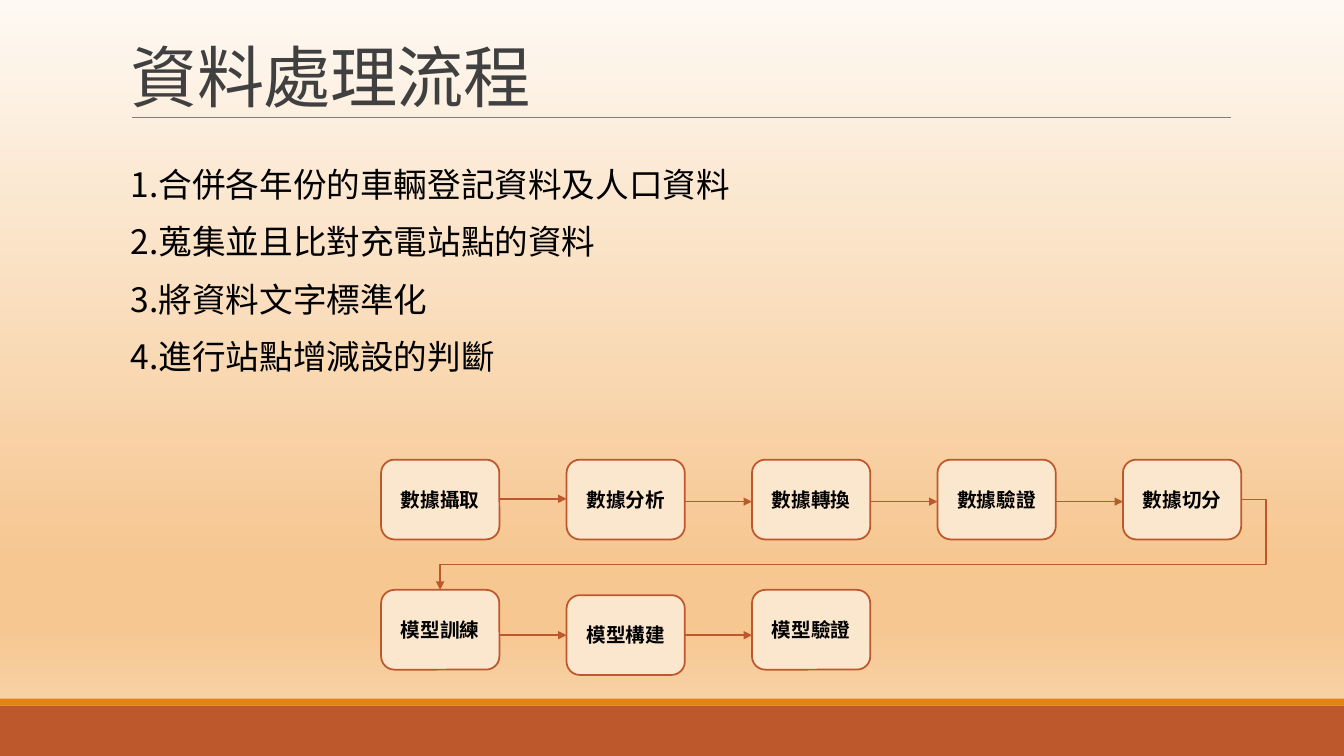
from dataclasses import dataclass

from lxml.etree import SubElement
from pptx import Presentation
from pptx.dml.color import RGBColor
from pptx.enum.shapes import MSO_CONNECTOR as CONN, MSO_SHAPE as SHAPE
from pptx.enum.text import MSO_ANCHOR as ANCHOR, PP_ALIGN as ALIGN
from pptx.oxml.ns import qn
from pptx.util import Pt


@dataclass(frozen=True)
class Theme:
    font: str = "Noto Sans CJK SC"
    title: str = "404040"
    text: str = "000000"
    rule: str = "808080"
    accent: str = "BD582C"
    stripe: str = "E48312"
    node: str = "FBE6CE"
    backdrop: tuple = ((0, "FEF9F3"), (74, "F6C791"), (83, "F6C791"), (100, "F9DAB6"))
    title_size: float = 48
    body_size: float = 24
    node_size: float = 14
    node_line: float = 1.25


THEME = Theme()
WIDTH, HEIGHT = 960, 540

TITLE = "資料處理流程"
STEPS = [
    "合併各年份的車輛登記資料及人口資料",
    "蒐集並且比對充電站點的資料",
    "將資料文字標準化",
    "進行站點增減設的判斷",
]
# Each row: top, arrow heights, then nodes as (label, drop), relative to the flow box
FLOW = [
    (0, (28, 30, 30, 30),
     [("數據攝取", 0), ("數據分析", 0), ("數據轉換", 0), ("數據驗證", 0), ("數據切分", 0)]),
    (93, (32.4, 32.4),
     [("模型訓練", 0), ("模型構建", 3.8), ("模型驗證", 0)]),
]


def set_all(obj, values):
    for name, value in values.items():
        setattr(obj, name, value)


def add_text(p, text, size, color, bold=False):
    r = p.add_run()
    r.text = text
    set_all(r.font, {"name": THEME.font, "size": Pt(size), "bold": bold})
    r.font.color.rgb = RGBColor.from_string(color)
    SubElement(r._r.get_or_add_rPr(), qn("a:ea"), typeface=THEME.font)
    return r


def add_box(s, kind, box, fill, line=None):
    sp = s.shapes.add_shape(kind, *map(Pt, box))
    sp.shadow.inherit = False
    sp.fill.solid()
    sp.fill.fore_color.rgb = RGBColor.from_string(fill)
    if line:
        sp.line.color.rgb = RGBColor.from_string(line)
        sp.line.width = Pt(THEME.node_line)
    else:
        sp.line.fill.background()
    return sp


def add_line(s, start, end, color, width, kind=CONN.STRAIGHT, arrow=False):
    line = s.shapes.add_connector(kind, *map(Pt, (*start, *end)))
    line.line.color.rgb = RGBColor.from_string(color)
    line.line.width = Pt(width)
    if arrow:
        SubElement(line.line._get_or_add_ln(), qn("a:tailEnd"), type="triangle")
    SubElement(line._element.spPr, qn("a:effectLst"))
    return line


def add_arrow(s, start, end, kind=CONN.STRAIGHT):
    return add_line(s, start, end, THEME.accent, THEME.node_line, kind, arrow=True)


def add_backdrop(s):
    fill = s.background.fill
    fill.gradient()
    fill.gradient_angle = 270
    stops = s.element.find(".//" + qn("a:gsLst"))
    for stop in list(stops):
        stops.remove(stop)
    for percent, color in THEME.backdrop:
        stop = SubElement(stops, qn("a:gs"), pos=str(percent * 1000))
        SubElement(stop, qn("a:srgbClr"), val=color)


def add_footer(s, x, y, w, h, stripe=5):
    add_box(s, SHAPE.RECTANGLE, (x, y + stripe, w, h - stripe), THEME.accent)
    add_box(s, SHAPE.RECTANGLE, (x, y, w, stripe), THEME.stripe)


def add_title(s, x, y, w, h):
    """Bottom-anchored title with a thin rule just beneath it."""
    tf = s.shapes.add_textbox(*map(Pt, (x, y, w, h))).text_frame
    set_all(tf, {"word_wrap": True, "vertical_anchor": ANCHOR.BOTTOM,
                 "margin_top": 0, "margin_bottom": 0})
    p = tf.paragraphs[0]
    p.line_spacing = 0.85
    r = add_text(p, TITLE, THEME.title_size, THEME.title)
    r._r.get_or_add_rPr().set("spc", "-50")
    rule_y = y + h + 0.8
    add_line(s, (x + 8, rule_y), (x + w + 0.7, rule_y), THEME.rule, 0.5)


def add_steps(s, x, y, w, h, indent=27.2):
    tf = s.shapes.add_textbox(*map(Pt, (x, y, w, h))).text_frame
    set_all(tf, {"word_wrap": True, "margin_top": Pt(6.4)})
    for i, step in enumerate(STEPS):
        p = tf.add_paragraph() if i else tf.paragraphs[0]
        pPr = p._p.get_or_add_pPr()
        set_all(pPr, {"marL": Pt(indent), "indent": Pt(-indent)})
        SubElement(pPr, qn("a:buFont"), typeface=THEME.font)
        SubElement(pPr, qn("a:buAutoNum"), type="arabicPeriod")
        set_all(p, {"line_spacing": Pt(28.8), "space_before": Pt(12 if i else 0)})
        add_text(p, step, THEME.body_size, THEME.text)


def add_node(s, label, box):
    sp = add_box(s, SHAPE.FLOWCHART_ALTERNATE_PROCESS, box, THEME.node, THEME.accent)
    tf = sp.text_frame
    set_all(tf, {"word_wrap": True, "vertical_anchor": ANCHOR.MIDDLE})
    p = tf.paragraphs[0]
    p.alignment = ALIGN.CENTER
    add_text(p, label, THEME.node_size, THEME.text, bold=True)


def add_flow(s, x, y, w, h):
    """Two rows of nodes; the end of the first row wraps to the start of the second."""
    node_w, node_h = 84.5, 57
    pitch = (w - node_w) / (len(FLOW[0][2]) - 1)
    for top, arrows, nodes in FLOW:
        for i, (label, drop) in enumerate(nodes):
            add_node(s, label, (x + i * pitch, y + top + drop, node_w, node_h))
        for i, rise in enumerate(arrows):
            arrow_y = y + top + rise
            add_arrow(s, (x + i * pitch + node_w, arrow_y), (x + (i + 1) * pitch, arrow_y))

    wrap = add_arrow(s, (x + w, y + node_h / 2), (x + node_w / 2, y + FLOW[1][0]), CONN.ELBOW)
    geom = wrap._element.spPr.find(qn("a:prstGeom"))
    geom.set("prst", "bentConnector4")
    guides = geom.find(qn("a:avLst"))
    for name, value in (("adj1", -3100), ("adj2", 72100)):
        SubElement(guides, qn("a:gd"), name=name, fmla=f"val {value}")


def add_process_slide(prs):
    s = prs.slides.add_slide(prs.slide_layouts[6])
    add_backdrop(s)
    add_footer(s, 0, 499, WIDTH, HEIGHT - 499)
    add_title(s, 86.4, 22.3, 792, 60.4)
    add_steps(s, 86.4, 110.9, 792, 160)
    add_flow(s, 272.2, 328.3, 614.4, 153.8)


def main():
    prs = Presentation()
    set_all(prs, {"slide_width": Pt(WIDTH), "slide_height": Pt(HEIGHT)})
    add_process_slide(prs)
    prs.save("out.pptx")


if __name__ == "__main__":
    main()
